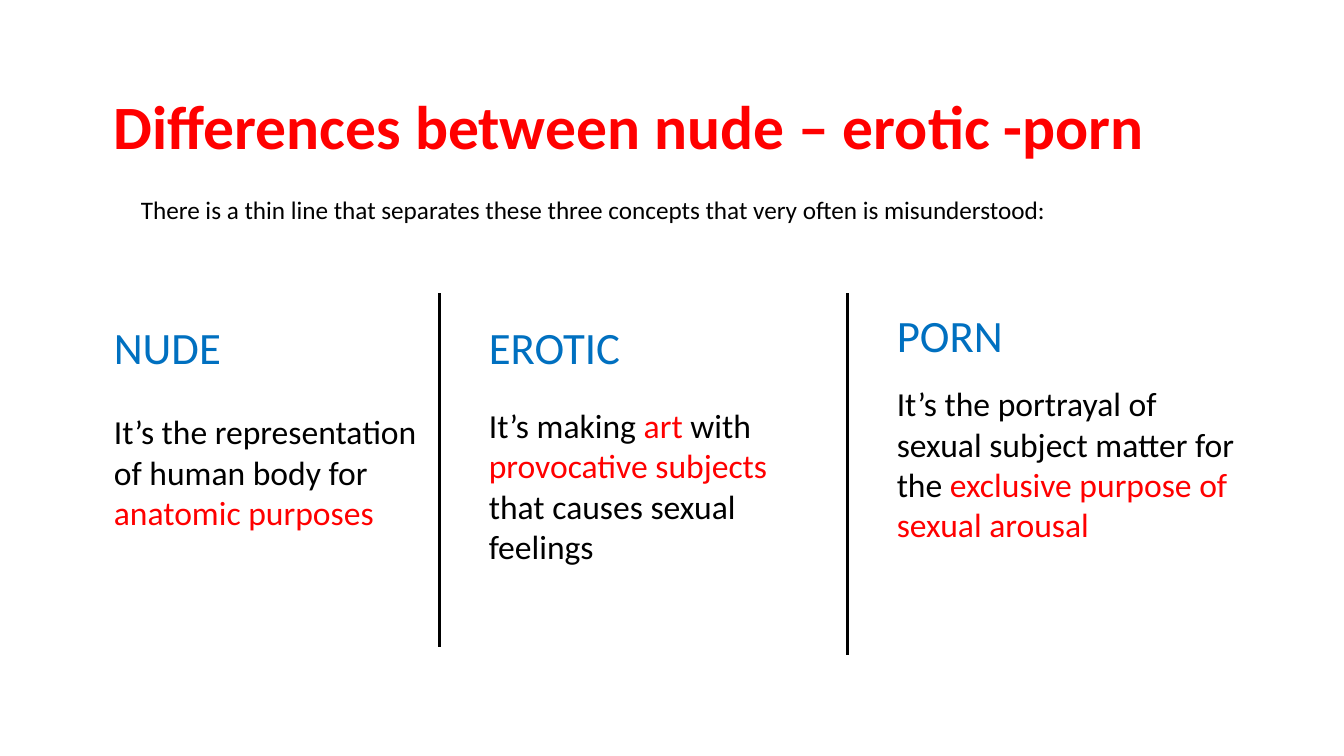
from typing import NamedTuple

from lxml.etree import SubElement
from pptx import Presentation
from pptx.dml.color import RGBColor
from pptx.enum.shapes import MSO_CONNECTOR
from pptx.enum.text import MSO_ANCHOR
from pptx.oxml.ns import qn
from pptx.util import Cm, Pt

COLORS = {"accent": "FF0000", "heading": "0070C0", "text": "000000"}
FONT = "Calibri"


class Box(NamedTuple):
    """A region of the slide, in centimetres."""
    left: float
    top: float
    width: float
    height: float


# Column box, heading width, drop from heading to body, heading, body runs
CONCEPTS = [
    (Box(2.62, 7.92, 8.46, 5.65), 8.46, 2.32, "NUDE",
     [("It’s the representation of human body for ", "text"),
      ("anatomic purposes", "accent")]),
    (Box(12.07, 7.92, 7.85, 6.53), 8.46, 2.16, "EROTIC",
     [("It’s making ", "text"), ("art", "accent"), (" with ", "text"),
      ("provocative subjects ", "accent"),
      ("that causes sexual feelings", "text")]),
    (Box(22.35, 7.62, 9.27, 6.28), 7.47, 1.91, "PORN",
     [("It’s the portrayal of sexual subject matter for the ", "text"),
      ("exclusive purpose of sexual arousal", "accent")]),
]
DIVIDERS = [Box(11.07, 7.39, 0, 8.92), Box(21.36, 7.39, 0, 9.12)]


def color(name):
    return RGBColor.from_string(COLORS[name])


def add_text(page, box, size, runs):
    """Add a wrapped text box with one paragraph of (text, color name) runs."""
    frame = page.shapes.add_textbox(*map(Cm, box)).text_frame
    frame.word_wrap = True
    para = frame.paragraphs[0]
    para.font.name = FONT
    para.font.size = Pt(size)
    for text, color_name in runs:
        span = para.add_run()
        span.text = text
        span.font.color.rgb = color(color_name)
    return frame


def add_title(page, box):
    frame = add_text(page, box, 44,
                     [("Differences between nude – erotic -porn", "accent")])
    frame.vertical_anchor = MSO_ANCHOR.MIDDLE
    para = frame.paragraphs[0]
    para.font.bold = True
    para.line_spacing = 0.9


def add_introduction(page, box):
    add_text(page, box, 18, [(
        "There is a thin line that separates these three concepts "
        "that very often is misunderstood:", "text")])


def add_concept(page, box, heading_width, body_drop, heading, body):
    add_text(page, Box(box.left, box.top, heading_width, 1.62), 32,
             [(heading, "heading")])
    add_text(page, Box(box.left, box.top + body_drop, box.width,
                       box.height - body_drop), 24, body)


def add_divider(page, box):
    line = page.shapes.add_connector(
        MSO_CONNECTOR.STRAIGHT, Cm(box.left), Cm(box.top),
        Cm(box.left + box.width), Cm(box.top + box.height))
    line.line.color.rgb = color("text")
    line.line.width = Pt(2)
    SubElement(line._element.spPr, qn("a:effectLst"))


def main():
    deck = Presentation()
    deck.slide_width, deck.slide_height = Cm(33.87), Cm(19.05)
    page = deck.slides.add_slide(deck.slide_layouts[6])
    add_title(page, Box(2.62, 2.11, 29.21, 2.29))
    for concept in CONCEPTS:
        add_concept(page, *concept)
    for divider in DIVIDERS:
        add_divider(page, divider)
    add_introduction(page, Box(3.3, 4.78, 25.4, 1.02))
    deck.save("out.pptx")


if __name__ == "__main__":
    main()
